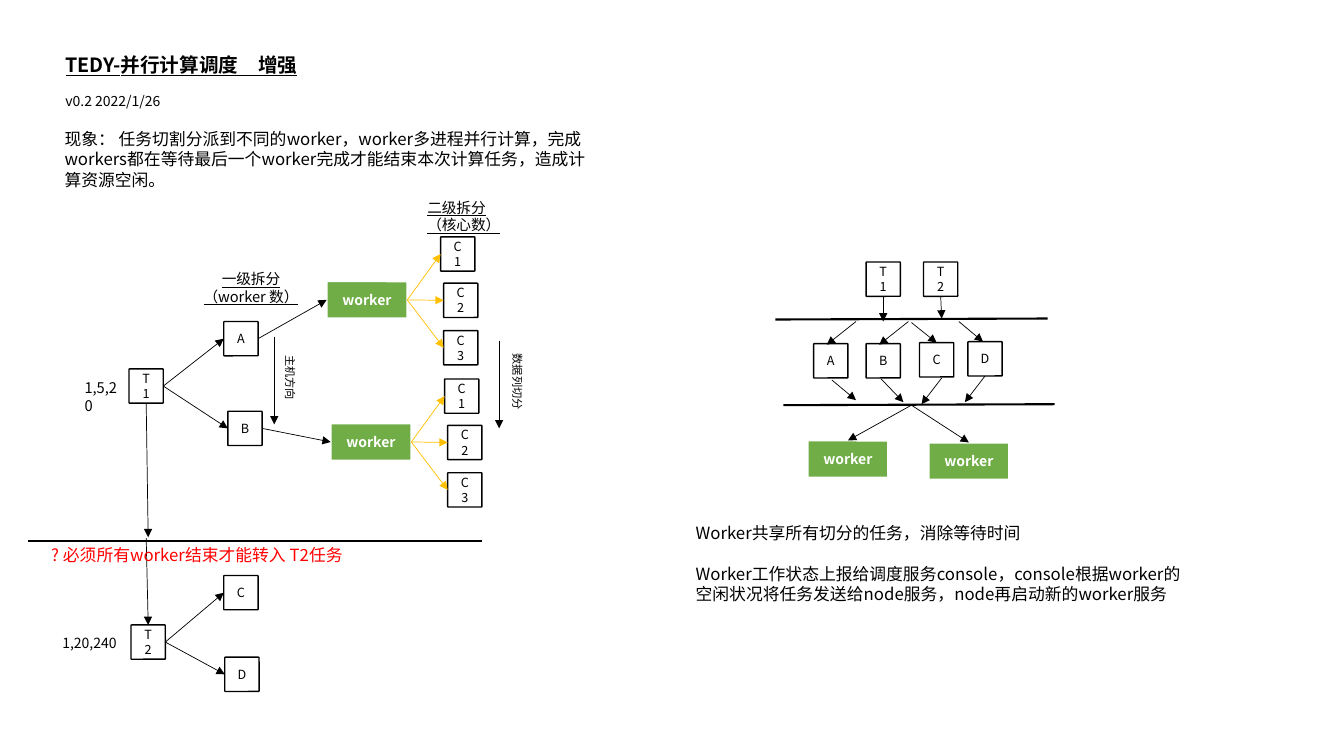
import dataclasses

import lxml.etree
import pptx
import pptx.dml.color
import pptx.enum.shapes
import pptx.enum.text
import pptx.oxml
import pptx.oxml.ns
import pptx.slide
import pptx.util

PX = 9144  # one hundred px to the inch
FONT = "Noto Sans CJK SC"
COLORS = {"black": "000000", "white": "FFFFFF", "green": "70AD47", "amber": "FFC000", "red": "FF0000"}
NODE = 34
WORKER_WIDTH, WORKER_HEIGHT = 80, 37
TOP, LEFT, BOTTOM, RIGHT = range(4)  # connection sites of a box
CENTER = pptx.enum.text.PP_ALIGN.CENTER


def rgb(name):
    return pptx.dml.color.RGBColor.from_string(COLORS[name])


def write(shape, paragraphs, size, color="black", bold=False, underline=False,
          align=pptx.enum.text.PP_ALIGN.LEFT, anchor=pptx.enum.text.MSO_ANCHOR.TOP, wrap=True, gap=0):
    """Fill a shape with paragraphs, gap points apart."""
    frame = shape.text_frame
    frame.word_wrap = wrap
    frame.auto_size = pptx.enum.text.MSO_AUTO_SIZE.NONE
    frame.vertical_anchor = anchor
    for index, text in enumerate(paragraphs):
        paragraph = frame.add_paragraph() if index else frame.paragraphs[0]
        paragraph.alignment = align
        paragraph.line_spacing = pptx.util.Pt(size * 1.2)
        paragraph.space_before = pptx.util.Pt(gap if index else 0)
        run = paragraph.add_run()
        run.text = text
        font = run.font
        font.name, font.size = FONT, pptx.util.Pt(size)
        font.bold, font.underline = bold, underline
        font.color.rgb = rgb(color)
        east_asian = lxml.etree.SubElement(font._element, pptx.oxml.ns.qn("a:ea"))
        east_asian.set("typeface", FONT)


def place(shape, left, top, width, height):
    shape.left, shape.top, shape.width, shape.height = (value * PX for value in (left, top, width, height))


def remove_bullets(shape):
    for paragraph in shape.text_frame.paragraphs:
        properties = paragraph._p.get_or_add_pPr()
        properties.set("marL", "0")
        properties.set("indent", "0")
        lxml.etree.SubElement(properties, pptx.oxml.ns.qn("a:buNone"))


@dataclasses.dataclass
class Region:
    """A part of the slide that places its contents from its own corner."""
    slide: pptx.slide.Slide
    left: int
    top: int

    def box(self, text, left, top, width, height, fill, line, line_width, size, color, bold=False):
        shape = self.slide.shapes.add_shape(
            pptx.enum.shapes.MSO_SHAPE.ROUNDED_RECTANGLE, 0, 0, 0, 0)
        place(shape, self.left + left, self.top + top, width, height)
        shape.adjustments[0] = 0.02
        shape.shadow.inherit = False
        shape.fill.solid()
        shape.fill.fore_color.rgb = rgb(fill)
        shape.line.color.rgb = rgb(line)
        shape.line.width = pptx.util.Pt(line_width)
        write(shape, [text], size, color, bold, align=CENTER,
              anchor=pptx.enum.text.MSO_ANCHOR.MIDDLE)
        return shape

    def node(self, text, left, top):
        return self.box(text, left, top, NODE, NODE, "white", "black", 1, 9, "black")

    def worker(self, left, top):
        return self.box("worker", left, top, WORKER_WIDTH, WORKER_HEIGHT,
                        "green", "white", 1.5, 10, "white", True)

    def label(self, paragraphs, left, top, width, height, size, rotation=0, **style):
        shape = self.slide.shapes.add_textbox(0, 0, 0, 0)
        place(shape, self.left + left, self.top + top, width, height)
        shape.rotation = rotation
        write(shape, paragraphs, size, **style)

    def line(self, start, end, color="black", width=0.5, arrow=True):
        points = [offset * PX for x, y in (start, end) for offset in (self.left + x, self.top + y)]
        connector = self.slide.shapes.add_connector(pptx.enum.shapes.MSO_CONNECTOR.STRAIGHT, *points)
        connector.line.color.rgb = rgb(color)
        connector.line.width = pptx.util.Pt(width)
        if arrow:
            head = lxml.etree.SubElement(connector.line._get_or_add_ln(), pptx.oxml.ns.qn("a:tailEnd"))
            head.set("type", "triangle")
        lxml.etree.SubElement(connector._element.spPr, pptx.oxml.ns.qn("a:effectLst"))
        return connector

    def barrier(self, start, end):
        self.line(start, end, width=1.5, arrow=False)

    def join(self, source, target, color="black"):
        """Arrow from the right side of one box to the left side of another."""
        connector = self.line((0, 0), (1, 1), color)
        connector.begin_connect(source, RIGHT)
        connector.end_connect(target, LEFT)

    def drop(self, start, target):
        connector = self.line(start, (1, 1))
        connector.end_connect(target, TOP)


def add_heading(slide, left, top):
    title = slide.shapes.title
    place(title, left, top, 332, 40)
    write(title, ["TEDY-并行计算调度\u3000增强".replace("\u3000", "　")], 14, bold=True, underline=True)
    Region(slide, left, top).label(["v0.2 2022/1/26"], 0, 40, 332, 27, 10)


def add_body(placeholder, paragraphs, left, top, width, height):
    place(placeholder, left, top, width, height)
    write(placeholder, paragraphs, 12, gap=14.4)
    remove_bullets(placeholder)


def add_worker_with_cores(region, left, top):
    worker = region.worker(left, top)
    for text, across, down in (("C1", 113, -44), ("C2", 116, 2), ("C3", 116, 49)):
        region.join(worker, region.node(text, left + across, top + down), "amber")
    return worker


def add_two_level_split(slide, left, top):
    region = Region(slide, left, top)
    first_task, second_task = region.node("T1", 108, 176), region.node("T2", 110, 430)
    part_a, part_b = region.node("A", 202, 129), region.node("B", 206, 218)
    part_c, part_d = region.node("C", 202, 381), region.node("D", 203, 462)
    for task, part in ((first_task, part_a), (first_task, part_b),
                       (second_task, part_c), (second_task, part_d)):
        region.join(task, part)
    region.join(part_a, add_worker_with_cores(region, 304, 89))
    region.join(part_b, add_worker_with_cores(region, 308, 230))

    region.line((125, 210), (127, 343)).begin_connect(first_task, BOTTOM)
    region.drop((125, 344), second_task)
    region.label(["1,5,20"], 54, 181, 59, 29, 10.5)
    region.label(["1,20,240"], 32, 435, 76, 27, 10, wrap=False)
    region.label(["? 必须所有worker结束才能转入 T2任务"], 21, 346, 315, 30, 12, color="red")
    region.barrier((8, 347), (458, 347))

    region.line((252, 144), (252, 231))
    region.label(["主机方向"], 235, 173, 65, 24, 8, rotation=90, wrap=False)
    region.line((475, 148), (475, 235))
    region.label(["数据列切分"], 455, 177, 76, 24, 8, rotation=90, wrap=False)
    region.label(["一级拆分", "（worker 数）"], 171, 73, 116, 45, 10.5, underline=True, align=CENTER)
    region.label(["二级拆分", "（核心数）"], 394, 2, 94, 45, 10.5, underline=True)


def add_shared_queue(slide, left, top):
    region = Region(slide, left, top)
    for text, across, down in (("T1", 90, 0), ("T2", 147, 0), ("A", 38, 81), ("B", 90, 81),
                               ("C", 143, 80), ("D", 191, 79)):
        region.node(text, across, down)
    region.barrier((0, 57), (270, 56))
    region.barrier((8, 142), (277, 141))
    task_arrows = [((107, 34), (107, 59)), ((164, 34), (165, 56))]
    split_arrows = [((80, 59), (51, 82)), ((132, 59), (103, 82)),
                    ((135, 60), (160, 80)), ((182, 59), (206, 79))]
    gather_arrows = [((56, 117), (80, 137)), ((105, 116), (127, 139)),
                     ((165, 115), (145, 141)), ((208, 113), (188, 139))]
    for start, end in task_arrows + split_arrows + gather_arrows:
        region.line(start, end)
    for across, down in ((32, 177), (152, 179)):
        region.drop((135, 142), region.worker(across, down))


def main():
    presentation = pptx.Presentation()
    presentation.slide_width, presentation.slide_height = 1333 * PX, 750 * PX
    slide = presentation.slides.add_slide(presentation.slide_layouts.get_by_name("Two Content"))
    add_heading(slide, 55, 47)
    add_body(slide.placeholders[1], [
        "现象： 任务切割分派到不同的worker，worker多进程并行计算，完成workers都在等待最后一个worker"
        "完成才能结束本次计算任务，造成计算资源空闲。"], 54, 123, 538, 71)
    add_body(slide.placeholders[2], [
        "Worker共享所有切分的任务，消除等待时间",
        "Worker工作状态上报给调度服务console，console根据worker的空闲状况将任务发送给node服务，"
        "node再启动新的worker服务"], 680, 514, 508, 91)
    add_two_level_split(slide, 20, 190)
    add_shared_queue(slide, 769, 260)
    presentation.save("out.pptx")


if __name__ == "__main__":
    main()
